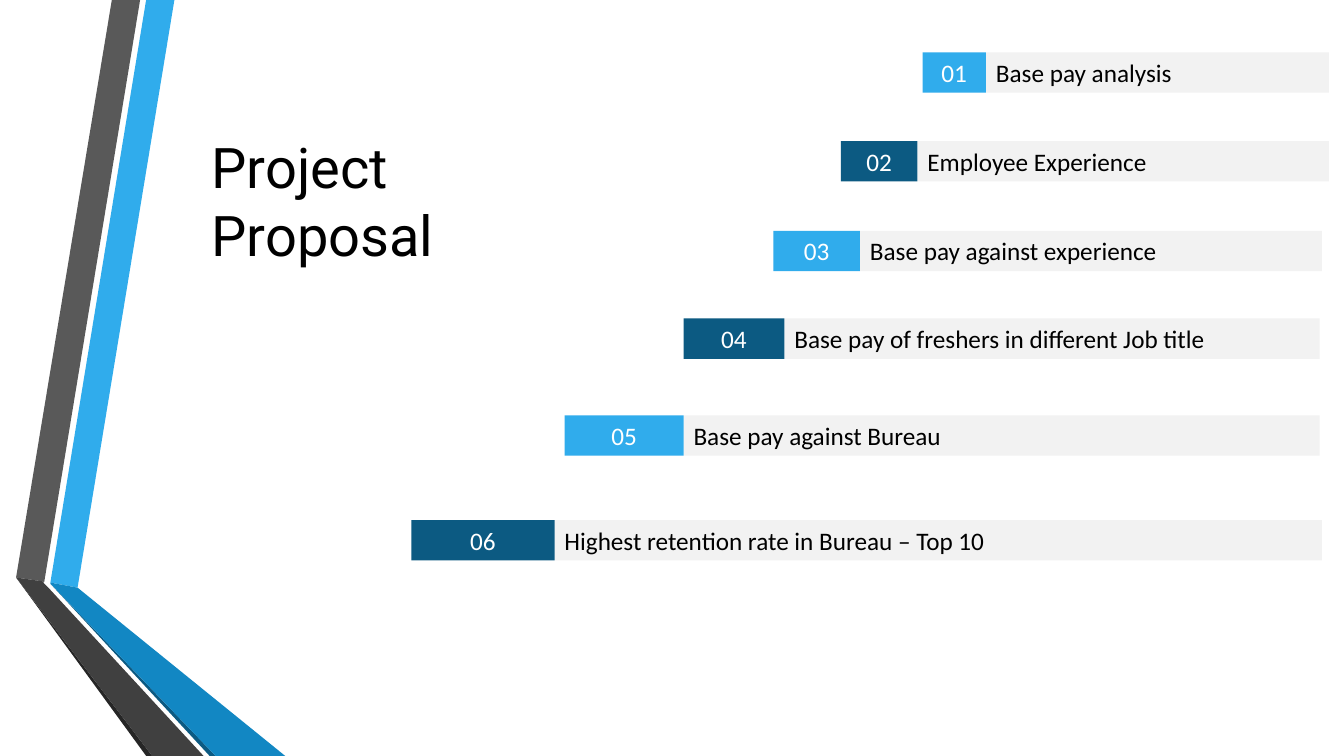
from pptx import Presentation
from pptx.dml.color import RGBColor
from pptx.enum.shapes import MSO_SHAPE
from pptx.enum.text import MSO_ANCHOR, PP_ALIGN
from pptx.util import Inches, Pt

COLORS = {
    "sky": "30ACEC",
    "blue": "1287C3",
    "navy": "0C5A82",
    "gray": "595959",
    "charcoal": "404040",
    "coal": "262626",
    "bar": "F2F2F2",
    "black": "000000",
    "white": "FFFFFF",
}

RIBBONS = [
    ("sky", [(0.5, 5.78), (0.77, 5.83), (1.73, 0), (1.45, 0)]),
    ("gray", [(1.39, 0), (1.11, 0), (0.16, 5.73), (0.44, 5.77)]),
    ("coal", [(0.16, 5.73), (1.45, 7.5), (1.51, 7.5)]),
    ("navy", [(0.5, 5.79), (2.08, 7.5), (2.14, 7.5)]),
    ("blue", [(0.5, 5.79), (2.14, 7.5), (2.83, 7.5), (0.77, 5.83), (0.5, 5.78)]),
    ("charcoal", [(2.02, 7.5), (0.48, 5.83), (0.43, 5.78), (0.44, 5.77),
                  (0.16, 5.73), (1.51, 7.5)]),
]

BAR_HEIGHT = 0.4
AGENDA = [
    ("Base pay analysis", 9.15, 9.78, 13.18, 0.52),
    ("Employee Experience", 8.34, 9.1, 13.18, 1.4),
    ("Base pay against experience", 7.67, 8.53, 13.11, 2.29),
    ("Base pay of freshers in different Job title", 6.78, 7.78, 13.09, 3.16),
    ("Base pay against Bureau", 5.6, 6.78, 13.09, 4.12),
    ("Highest retention rate in Bureau – Top 10", 4.08, 5.5, 13.11, 5.16),
]


def color(name):
    return RGBColor.from_string(COLORS[name])


def paint(shape, fill):
    shape.shadow.inherit = False
    shape.fill.solid()
    shape.fill.fore_color.rgb = color(fill)
    shape.line.fill.background()


def add_ribbon(slide, fill, points):
    corners = [(Inches(x), Inches(y)) for x, y in points]
    builder = slide.shapes.build_freeform(*corners[0])
    builder.add_line_segments(corners[1:], close=True)
    paint(builder.convert_to_shape(), fill)


def write(shape, text, font_name, size, font_color, alignment=PP_ALIGN.LEFT):
    frame = shape.text_frame
    frame.word_wrap = True
    paragraph = frame.paragraphs[0]
    paragraph.text = text
    paragraph.alignment = alignment
    paragraph.font.name = font_name
    paragraph.font.size = Pt(size)
    paragraph.font.color.rgb = color(font_color)


def add_title(slide, text):
    title = slide.shapes.add_textbox(Inches(2), Inches(0.6), Inches(3.13), Inches(2.77))
    write(title, text, "Roboto", 40, "black")
    title.text_frame.vertical_anchor = MSO_ANCHOR.MIDDLE


def add_bar(slide, left, right, top, fill, text, font_color, alignment):
    bar = slide.shapes.add_shape(
        MSO_SHAPE.RECTANGLE, Inches(left), Inches(top),
        Inches(right - left), Inches(BAR_HEIGHT))
    paint(bar, fill)
    write(bar, text, "Calibri", 18, font_color, alignment)
    bar.text_frame.vertical_anchor = MSO_ANCHOR.TOP


def add_agenda_item(slide, number, text, left, split, right, top):
    number_fill = "sky" if number % 2 else "navy"
    add_bar(slide, split, right, top, "bar", text, "black", PP_ALIGN.LEFT)
    add_bar(slide, left, split, top, number_fill, f"{number:02}", "white", PP_ALIGN.CENTER)


def main():
    presentation = Presentation()
    presentation.slide_width = Inches(13.33)
    presentation.slide_height = Inches(7.5)
    slide = presentation.slides.add_slide(presentation.slide_layouts[6])
    for fill, points in RIBBONS:
        add_ribbon(slide, fill, points)
    add_title(slide, "Project Proposal")
    for number, item in enumerate(AGENDA, start=1):
        add_agenda_item(slide, number, *item)
    presentation.save("out.pptx")


if __name__ == "__main__":
    main()
